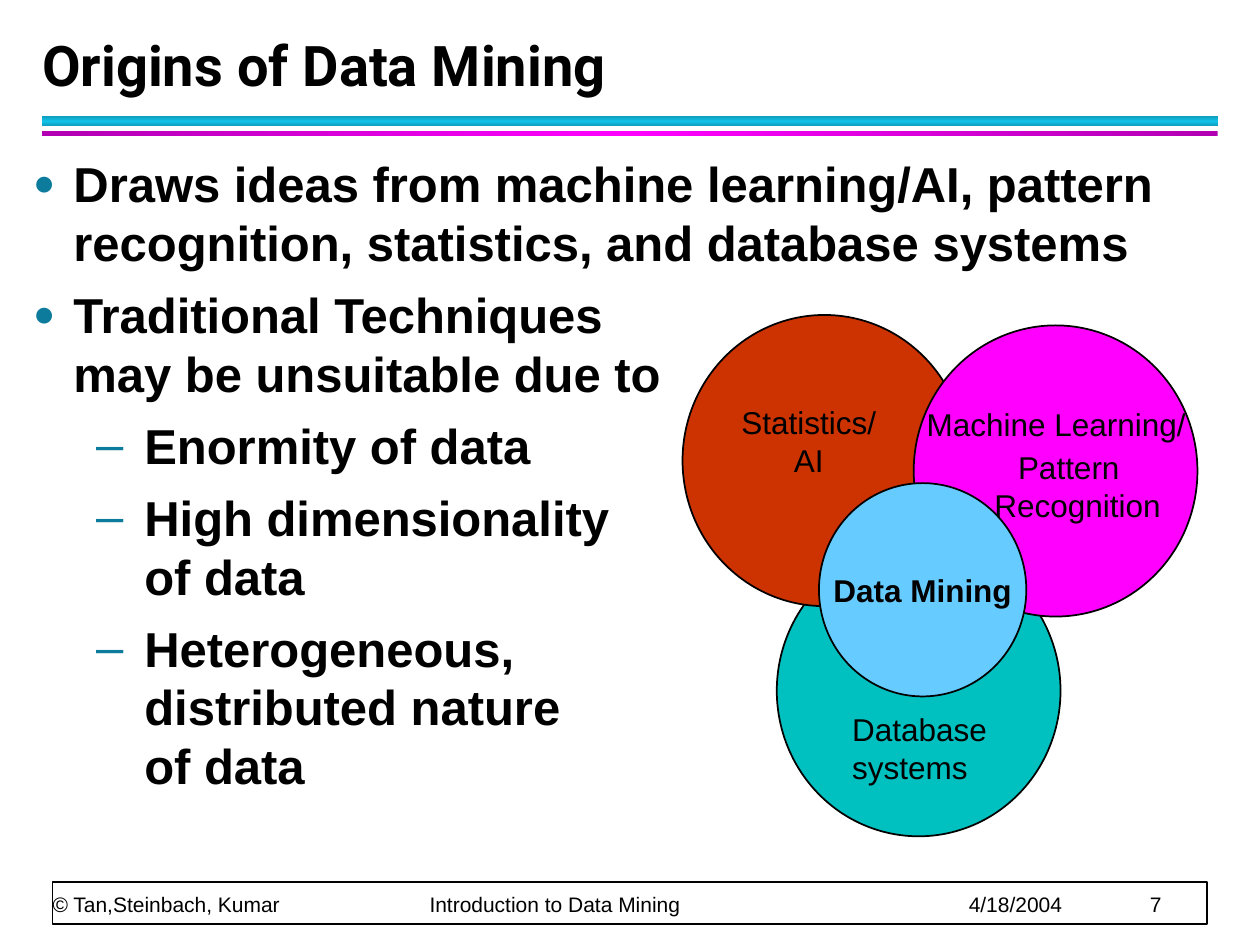
import copy
from dataclasses import dataclass

import pptx
import pptx.dml.color
import pptx.enum.shapes
import pptx.enum.text
import pptx.oxml
import pptx.oxml.ns
import pptx.util
from pptx.util import Cm

ALIGN = pptx.enum.text.PP_ALIGN
ANCHOR = pptx.enum.text.MSO_ANCHOR
SHAPE = pptx.enum.shapes.MSO_SHAPE
COLORS = {
    "text": "000000", "paper": "FFFFFF", "bullet": "0C7B9C",
    "cyan edge": "0E9BBA", "cyan": "12C2E9",
    "magenta edge": "B200B2", "magenta": "FF00FF",
    "database": "00C0C0", "statistics": "CC3300", "mining": "66CCFF",
}


@dataclass
class Box:
    """Position and size in centimetres."""
    left: float
    top: float
    width: float
    height: float

    def lengths(self):
        return [Cm(v) for v in (self.left, self.top, self.width, self.height)]


@dataclass
class Line:
    text: str
    align: ALIGN = ALIGN.LEFT
    before: float = 11.2


@dataclass
class Field:
    """A circle of the diagram with its label."""
    circle: Box
    color: str
    label: Box
    lines: list[Line]
    inset: float = 0.25


@dataclass
class Bullet:
    level: int
    text: str


@dataclass
class BulletStyle:
    char: str
    size: int
    left: float
    hang: float


@dataclass
class Rule:
    box: Box
    edge: str
    middle: str
    angle: int


DIAMETERS = (5.72, 5.87)
DATABASE = Field(Box(15.66, 10.99, *DIAMETERS), "database",
                 Box(16.93, 14.18, 4.01, 1.78), [Line("Database systems")])
STATISTICS = Field(Box(13.76, 6.35, *DIAMETERS), "statistics",
                   Box(14.4, 8, 3.81, 1.78), [Line("Statistics/\vAI", ALIGN.CENTER)])
LEARNING = Field(Box(18.42, 6.56, *DIAMETERS), "magenta",
                 Box(18.68, 8.03, 5.91, 2.66),
                 [Line("Machine Learning/"),
                  Line("Pattern \v Recognition", ALIGN.CENTER, 3.4)], inset=0)
MINING = Box(16.51, 9.74, 4.18, 4.3)

RULES = [
    Rule(Box(0.85, 2.34, 23.7, 0.21), "cyan edge", "cyan", 90),
    Rule(Box(0.85, 2.64, 23.7, 0.11), "magenta edge", "magenta", 0),
]
BULLET_STYLES = [BulletStyle("●", 75, 0.81, 0.81), BulletStyle("–", 100, 2.24, 0.97)]
BULLETS = [
    Bullet(0, "Draws ideas from machine learning/AI, pattern recognition, "
              "statistics, and database systems"),
    Bullet(0, "Traditional Techniques\vmay be unsuitable due to"),
    Bullet(1, "Enormity of data"),
    Bullet(1, "High dimensionality \vof data"),
    Bullet(1, "Heterogeneous, \vdistributed nature \vof data"),
]
FOOTER = ["© Tan,Steinbach, Kumar", "Introduction to Data Mining", "4/18/2004", "7"]
FOOTER_TABS = [7.6, 18.47, 22.12]


def rgb(name: str):
    return pptx.dml.color.RGBColor.from_string(COLORS[name])


def append_xml(parent, tag: str, **attributes):
    child = pptx.oxml.parse_xml(f"<a:{tag} {pptx.oxml.ns.nsdecls('a')}/>")
    for key, value in attributes.items():
        child.set(key, str(value))
    parent.append(child)
    return child


def set_font(paragraph, size: float, bold: bool = False, name: str = "Arial"):
    font = paragraph.font
    font.name, font.size, font.bold = name, pptx.util.Pt(size), bold
    font.color.rgb = rgb("text")


def set_frame(frame, inset: float = 0.25, vertical: float = 0.13, anchor=ANCHOR.TOP):
    frame.margin_left = frame.margin_right = Cm(inset)
    frame.margin_top = frame.margin_bottom = Cm(vertical)
    frame.vertical_anchor = anchor
    frame.word_wrap = True
    frame.auto_size = pptx.enum.text.MSO_AUTO_SIZE.NONE


def place(shape, box: Box):
    shape.left, shape.top, shape.width, shape.height = box.lengths()


def next_paragraph(frame, index: int):
    return frame.add_paragraph() if index else frame.paragraphs[0]


def add_outlined(slide, kind, box: Box, color: str):
    shape = slide.shapes.add_shape(kind, *box.lengths())
    shape.shadow.inherit = False
    shape.fill.solid()
    shape.fill.fore_color.rgb = rgb(color)
    shape.line.color.rgb = rgb("text")
    shape.line.width = pptx.util.Pt(1)
    return shape


def add_rule(slide, rule: Rule):
    bar = slide.shapes.add_shape(SHAPE.RECTANGLE, *rule.box.lengths())
    bar.shadow.inherit = False
    bar.line.fill.background()
    bar.fill.gradient()
    bar.fill.gradient_angle = rule.angle
    stops = bar._element.spPr.find(".//" + pptx.oxml.ns.qn("a:gsLst"))
    stops.append(copy.deepcopy(stops[0]))
    colors = (rule.edge, rule.middle, rule.edge)
    for stop, position, color in zip(bar.fill.gradient_stops, (0, 0.5, 1), colors):
        stop.position = position
        stop.color.rgb = rgb(color)


def add_label(slide, field: Field):
    frame = slide.shapes.add_textbox(*field.label.lengths()).text_frame
    set_frame(frame, field.inset)
    for index, line in enumerate(field.lines):
        paragraph = next_paragraph(frame, index)
        paragraph.text = line.text
        paragraph.alignment = line.align
        paragraph.space_before = pptx.util.Pt(line.before)
        set_font(paragraph, 18)


def add_footer(slide):
    add_outlined(slide, SHAPE.RECTANGLE, Box(1.06, 17.78, 23.28, 0.85), "paper")
    frame = slide.shapes.add_textbox(*Box(1.06, 17.07, 23.25, 1.42).lengths()).text_frame
    set_frame(frame, 0, 0, ANCHOR.BOTTOM)
    paragraph = frame.paragraphs[0]
    paragraph.text = "\t".join(FOOTER)
    paragraph.line_spacing = pptx.util.Pt(20)
    tabs = append_xml(paragraph._p.get_or_add_pPr(), "tabLst")
    for position in FOOTER_TABS:
        append_xml(tabs, "tab", pos=int(Cm(position)), algn="l")
    set_font(paragraph, 12)


def fill_title(title):
    place(title, Box(0.85, 0.63, 23.02, 1.48))
    set_frame(title.text_frame, 0, anchor=ANCHOR.BOTTOM)
    paragraph = title.text_frame.paragraphs[0]
    paragraph.text = "Origins of Data Mining"
    paragraph.alignment = ALIGN.LEFT
    paragraph.line_spacing = pptx.util.Pt(36)
    set_font(paragraph, 32, True, "Roboto")


def fill_body(body):
    place(body, Box(0.42, 2.97, 24.55, 15.24))
    set_frame(body.text_frame)
    for index, bullet in enumerate(BULLETS):
        style = BULLET_STYLES[bullet.level]
        paragraph = next_paragraph(body.text_frame, index)
        paragraph.text = bullet.text
        paragraph.level = bullet.level
        paragraph.space_before = pptx.util.Pt(3.5)
        paragraph.space_after = pptx.util.Pt(4)
        properties = paragraph._p.get_or_add_pPr()
        properties.set("marL", str(int(Cm(style.left))))
        properties.set("indent", str(-int(Cm(style.hang))))
        append_xml(append_xml(properties, "buClr"), "srgbClr", val=COLORS["bullet"])
        append_xml(properties, "buSzPct", val=style.size * 1000)
        append_xml(properties, "buChar", char=style.char)
        set_font(paragraph, 28, True)


def add_mining(slide):
    frame = add_outlined(slide, SHAPE.OVAL, MINING, "mining").text_frame
    set_frame(frame, anchor=ANCHOR.MIDDLE)
    frame.word_wrap = False
    paragraph = frame.paragraphs[0]
    paragraph.text = "Data Mining"
    paragraph.alignment = ALIGN.CENTER
    set_font(paragraph, 18, True)


def main():
    deck = pptx.Presentation()
    deck.slide_width, deck.slide_height = Cm(25.4), Cm(19.05)
    slide = deck.slides.add_slide(deck.slide_layouts[1])
    fill_title(slide.shapes.title)
    fill_body(slide.placeholders[1])
    add_footer(slide)
    for rule in RULES:
        add_rule(slide, rule)
    for field in (DATABASE, STATISTICS, LEARNING):
        add_outlined(slide, SHAPE.OVAL, field.circle, field.color)
    for field in (LEARNING, STATISTICS):
        add_label(slide, field)
    add_mining(slide)
    add_label(slide, DATABASE)
    deck.save("out.pptx")


if __name__ == "__main__":
    main()
